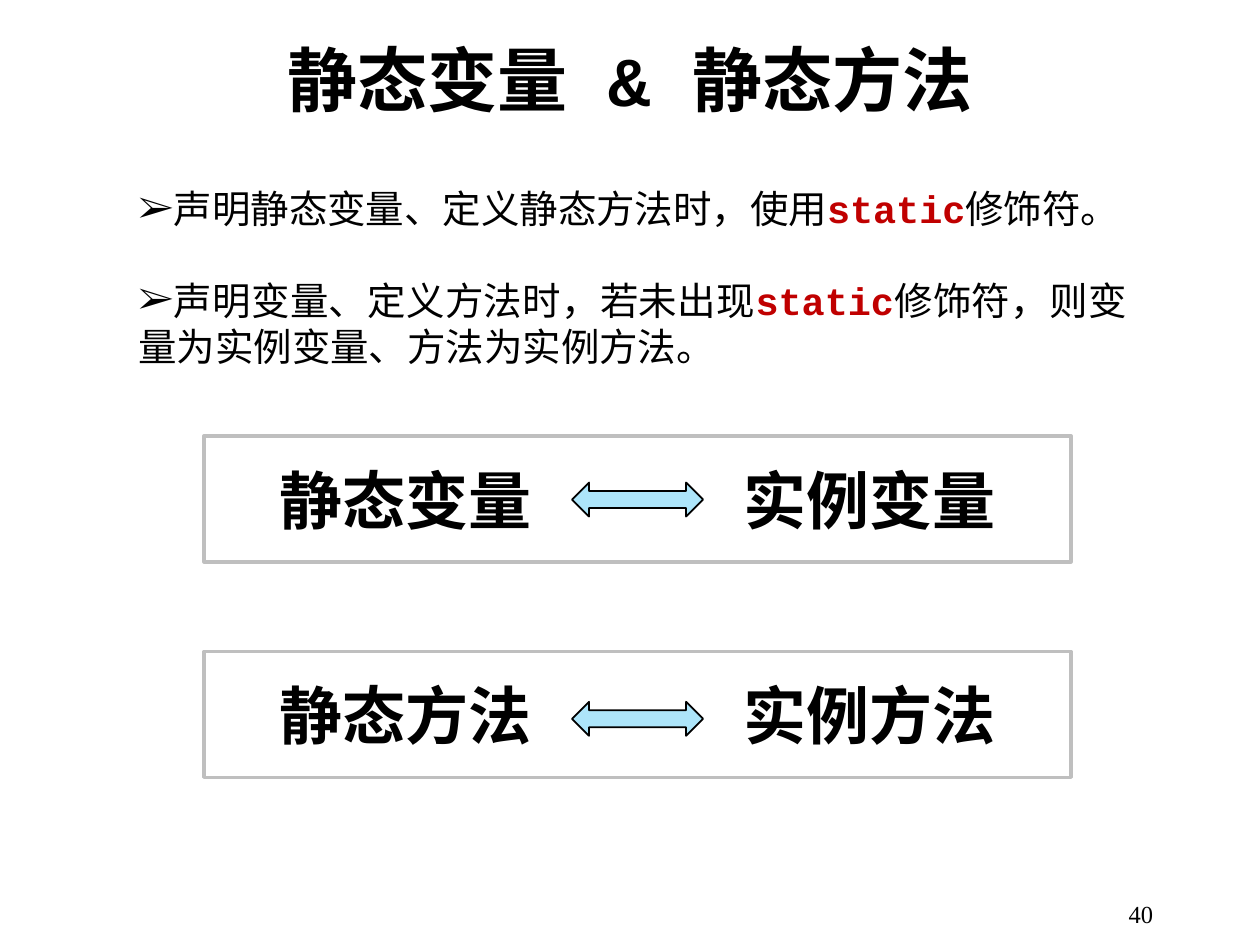
from lxml.etree import SubElement
from pptx import Presentation
from pptx.dml.color import RGBColor
from pptx.enum.shapes import MSO_SHAPE as Shape
from pptx.enum.text import MSO_ANCHOR as Anchor, PP_ALIGN as Align
from pptx.oxml.ns import qn
from pptx.util import Inches, Pt

BLACK, RED, GREY, BLUE = "000000", "C00000", "BFBFBF", "00B0F0"
TIMES, COURIER, SANS = "Times New Roman", "Courier New", "Noto Sans CJK SC"


def rgb(hex_string):
    return RGBColor.from_string(hex_string)


def add_run(paragraph, text, face, size, color=BLACK, bold=False, asian=COURIER):
    run = paragraph.add_run()
    run.text = text
    for name, value in dict(name=face, size=Pt(size), bold=bold).items():
        setattr(run.font, name, value)
    run.font.color.rgb = rgb(color)
    # East Asian characters take their face from a separate element
    SubElement(run.font._element, qn("a:ea"), typeface=asian)


deck = Presentation()
deck.slide_width, deck.slide_height = Inches(10), Inches(7.5)
slide = deck.slides.add_slide(deck.slide_layouts[6])
shapes = slide.shapes

# Title, with a narrow gap before the ampersand, and page number
for area, pieces, size, bold, align, wrap in [
    ((0.75, 0.03, 8.5, 1.18), [("静态变量 ", TIMES), ("& 静态方法", COURIER)],
     40, True, Align.CENTER, True),
    ((7.17, 7, 2.08, 0.5), [("40", TIMES)], 14, False, Align.RIGHT, False),
]:
    frame = shapes.add_textbox(*map(Inches, area)).text_frame
    frame.word_wrap, frame.vertical_anchor = wrap, Anchor.MIDDLE
    frame.paragraphs[0].alignment = align
    for text, face in pieces:
        add_run(frame.paragraphs[0], text, face, size, bold=bold)

# Rules about the static modifier
rules = shapes.add_textbox(*map(Inches, (1, 1.42, 8.04, 1.58))).text_frame
rules.word_wrap = True
for index, (before, after) in enumerate([
    ("声明静态变量、定义静态方法时，使用", "修饰符。"),
    ("声明变量、定义方法时，若未出现", "修饰符，则变量为实例变量、方法为实例方法。"),
]):
    rule = rules.add_paragraph() if index else rules.paragraphs[0]
    rule.alignment = Align.JUSTIFY
    rule.space_before = Pt(26 * index)
    bullet = rule._p.get_or_add_pPr()
    for name in ("marL", "indent", "hangingPunct"):
        bullet.set(name, "0")
    SubElement(bullet, qn("a:buFont"), typeface=TIMES)
    SubElement(bullet, qn("a:buChar"), char="➢")
    add_run(rule, before, TIMES, 22)
    add_run(rule, "static", COURIER, 22, RED, True)
    add_run(rule, after, TIMES, 22)

# Static and instance members face each other in framed pairs
for top, arrow_top, static_member, instance_member in [
    (3.46, 3.83, "静态变量", "实例变量"),
    (5.17, 5.57, "静态方法", "实例方法"),
]:
    pair = shapes.add_shape(Shape.RECTANGLE, *map(Inches, (1.62, top, 6.88, 1)))
    pair.fill.background()
    arrow = shapes.add_shape(
        Shape.LEFT_RIGHT_ARROW, *map(Inches, (4.54, arrow_top, 1.04, 0.27)))
    arrow.fill.solid()
    arrow.fill.fore_color.rgb = rgb(BLUE)
    tint = arrow.fill._xPr.find(qn("a:solidFill"))[0]
    SubElement(tint, qn("a:alpha"), val="32000")
    for part, color, width in [(pair, GREY, 2), (arrow, BLACK, 1)]:
        part.shadow.inherit = False
        part.line.color.rgb, part.line.width = rgb(color), Pt(width)

    frame = pair.text_frame
    frame.vertical_anchor, frame.margin_left = Anchor.MIDDLE, Inches(0.6)
    members = frame.paragraphs[0]
    members.alignment = Align.LEFT
    tabs = SubElement(members._p.get_or_add_pPr(), qn("a:tabLst"))
    SubElement(tabs, qn("a:tab"), pos=str(Inches(3.68)), algn="l")
    add_run(members, f"{static_member}\t{instance_member}", SANS, 36,
            bold=True, asian=SANS)

deck.save("out.pptx")
